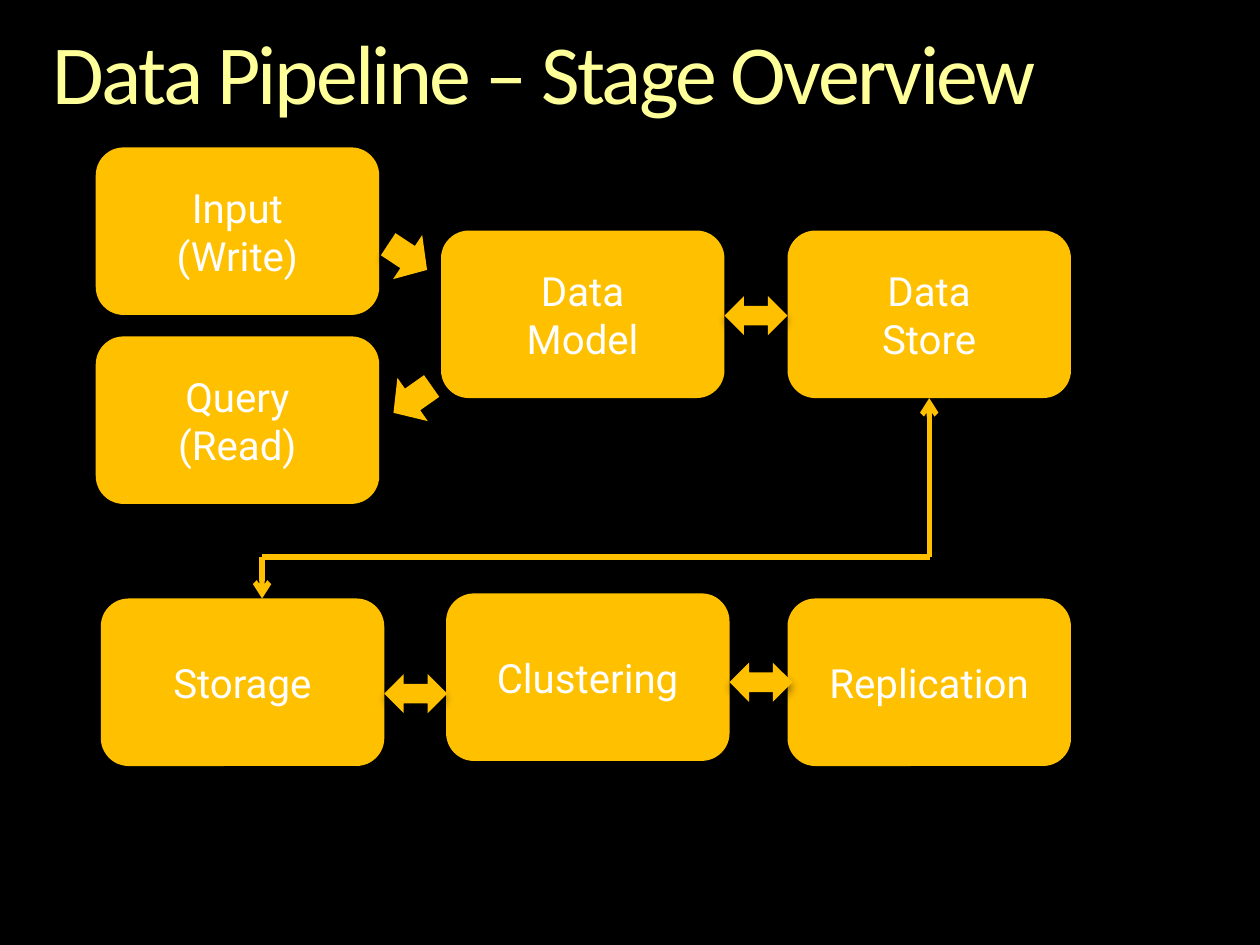
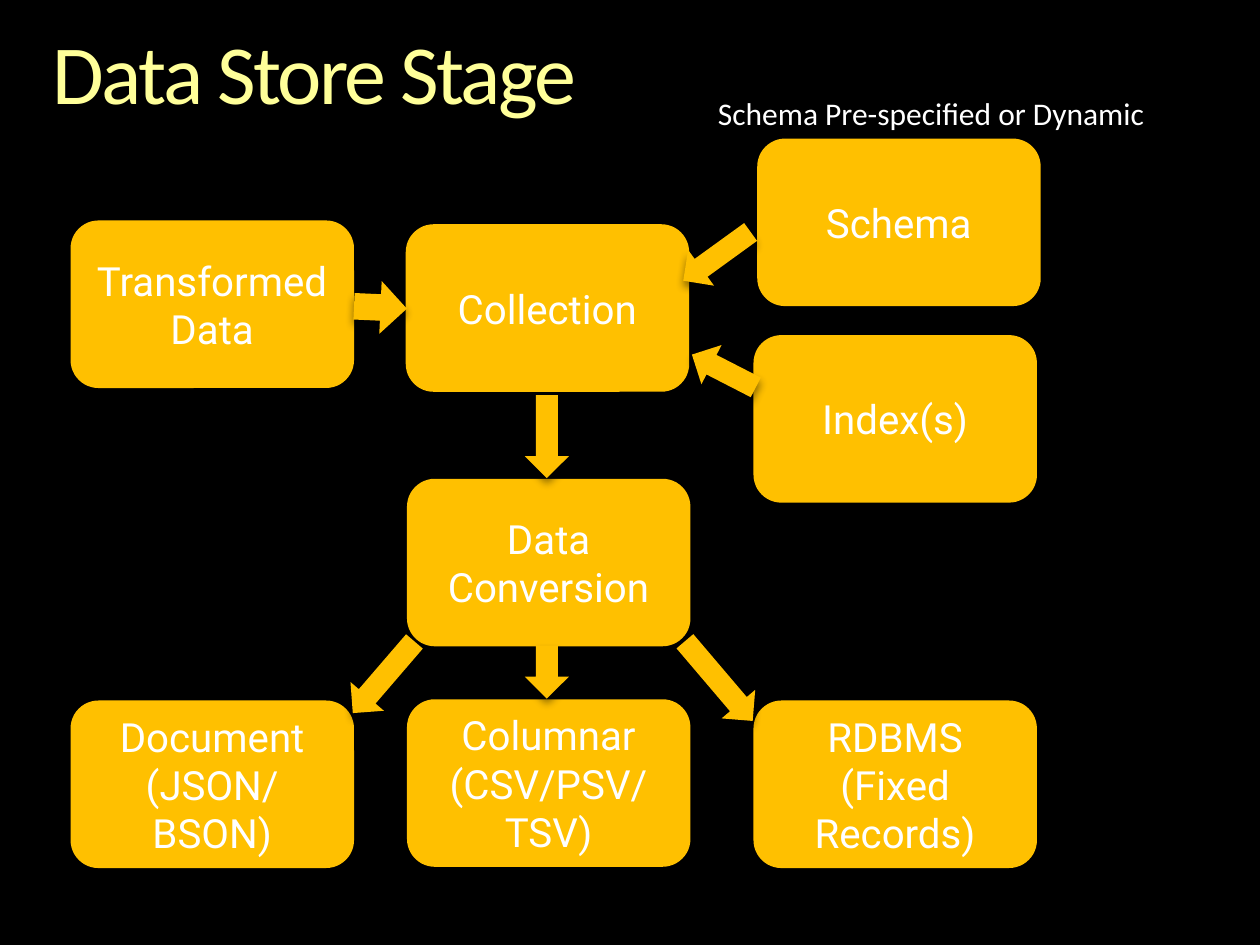
"""Build two data pipeline slides: the stage overview and the data store stage."""
from lxml.etree import SubElement
from pptx import Presentation
from pptx.dml.color import RGBColor
from pptx.enum.shapes import MSO_CONNECTOR, MSO_SHAPE
from pptx.enum.text import MSO_ANCHOR, PP_ALIGN
from pptx.oxml.ns import qn
from pptx.util import Inches, Pt

BLACK = RGBColor(0x00, 0x00, 0x00)
WHITE = RGBColor(0xFF, 0xFF, 0xFF)
AMBER = RGBColor(0xFF, 0xC0, 0x00)
PALE_YELLOW = RGBColor(0xFF, 0xFF, 0x99)
BOX_WIDTH, BOX_HEIGHT = 2.25, 1.33
LEFT, BOTH = MSO_SHAPE.LEFT_ARROW, MSO_SHAPE.LEFT_RIGHT_ARROW

# Boxes: text, left, top. Arrows: preset, left, top, width, height, rotation.
OVERVIEW = {
    "title": "Data Pipeline – Stage Overview",
    "boxes": [
        ("Input\v(Write)", 0.76, 1.17),
        ("Data\vModel", 3.5, 1.83),
        ("Data\vStore", 6.25, 1.83),
        ("Storage", 0.8, 4.75),
        ("Clustering", 3.54, 4.71),
        ("Replication", 6.25, 4.75),
        ("Query\v(Read)", 0.76, 2.67),
    ],
    "arrows": [
        (LEFT, 3.05, 1.83, 0.37, 0.42, 213.4),
        (LEFT, 3.09, 2.96, 0.37, 0.42, 324.9),
        (BOTH, 5.75, 2.35, 0.5, 0.31, 0),
        (BOTH, 5.79, 5.26, 0.5, 0.31, 0),
        (BOTH, 3.05, 5.35, 0.5, 0.31, 0),
    ],
}
STORE_STAGE = {
    "title": "Data Store Stage",
    "boxes": [
        ("Transformed Data", 0.56, 1.75),
        ("Collection", 3.22, 1.78),
        ("Index(s)", 5.98, 2.66),
        ("Data Conversion", 3.23, 3.8),
        ("Schema", 6.01, 1.1),
        ("Columnar\v(CSV/PSV/TSV)", 3.23, 5.55),
        ("Document\v(JSON/BSON)", 0.56, 5.56),
        ("RDBMS\v(Fixed Records)", 5.98, 5.56),
    ],
    "arrows": [
        (LEFT, 2.81, 2.23, 0.42, 0.42, 182.6),
        (LEFT, 5.46, 2.77, 0.57, 0.35, 27.2),
        (LEFT, 5.36, 1.86, 0.66, 0.35, 324.1),
        (LEFT, 4.01, 3.29, 0.66, 0.35, 270),
        (LEFT, 4.13, 5.16, 0.42, 0.35, 270),
        (LEFT, 2.67, 5.2, 0.75, 0.35, 310.7),
        (LEFT, 5.29, 5.23, 0.83, 0.35, 229.6),
    ],
}
SCHEMA_NOTE = "Schema Pre-specified or Dynamic"
LINK_STORAGE_X, LINK_STORE_X, LINK_Y, STORAGE_TOP = 2.08, 7.38, 4.42, 4.75


def style_text(text_frame, text, font_name, size, color):
    text_frame.text = text
    paragraph = text_frame.paragraphs[0]
    for run in paragraph.runs:
        run.font.name = font_name
        run.font.size = Pt(size)
        run.font.color.rgb = color
    return paragraph


def add_amber_shape(slide, preset, left, top, width, height):
    shape = slide.shapes.add_shape(
        preset, Inches(left), Inches(top), Inches(width), Inches(height))
    shape.fill.solid()
    shape.fill.fore_color.rgb = AMBER
    shape.line.fill.background()
    shape.shadow.inherit = False
    effects = shape._element.spPr.find(qn("a:effectLst"))
    shadow = SubElement(effects, qn("a:outerShdw"), blurRad=str(Pt(5)),
                        dist=str(Pt(3)), dir="5400000", rotWithShape="0")
    shadow_color = SubElement(shadow, qn("a:srgbClr"), val=str(BLACK))
    SubElement(shadow_color, qn("a:alpha"), val="45000")
    return shape


def add_box(slide, text, left, top):
    box = add_amber_shape(slide, MSO_SHAPE.ROUNDED_RECTANGLE,
                          left, top, BOX_WIDTH, BOX_HEIGHT)
    box.text_frame.word_wrap = True
    box.text_frame.vertical_anchor = MSO_ANCHOR.MIDDLE
    paragraph = style_text(box.text_frame, text, "Roboto", 23, WHITE)
    paragraph.alignment = PP_ALIGN.CENTER
    return box


def add_title(slide, text):
    title = slide.shapes.add_textbox(
        Inches(0.42), Inches(0.25), Inches(9.17), Inches(0.73))
    frame = title.text_frame
    frame.word_wrap = True
    frame.margin_left = frame.margin_right = frame.margin_top = frame.margin_bottom = 0
    paragraph = style_text(frame, text, "Calibri", 48, PALE_YELLOW)
    paragraph.line_spacing = 0.9
    paragraph.runs[0].font._element.set("spc", "-150")


def add_link(slide, start, end, arrowhead=True):
    points = [Inches(value) for value in (*start, *end)]
    link = slide.shapes.add_connector(MSO_CONNECTOR.STRAIGHT, *points)
    link.line.color.rgb = AMBER
    link.line.width = Pt(3)
    if arrowhead:
        SubElement(link.line._get_or_add_ln(), qn("a:tailEnd"), type="arrow")
    SubElement(link._element.spPr, qn("a:effectLst"))
    return link


def add_diagram(presentation, content):
    slide = presentation.slides.add_slide(presentation.slide_layouts[6])
    slide.background.fill.solid()
    slide.background.fill.fore_color.rgb = BLACK
    add_title(slide, content["title"])
    boxes = {box[0]: add_box(slide, *box) for box in content["boxes"]}
    for *placement, rotation in content["arrows"]:
        add_amber_shape(slide, *placement).rotation = rotation
    return slide, boxes


def main():
    presentation = Presentation()
    presentation.slide_width, presentation.slide_height = Inches(10), Inches(7.5)

    overview, boxes = add_diagram(presentation, OVERVIEW)
    storage_corner = (LINK_STORAGE_X, LINK_Y)
    store_corner = (LINK_STORE_X, LINK_Y)
    add_link(overview, store_corner, storage_corner, arrowhead=False)
    add_link(overview, storage_corner, (LINK_STORAGE_X, STORAGE_TOP))
    store_link = add_link(overview, store_corner, (LINK_STORE_X, 3.17))
    store_link.end_connect(boxes["Data\vStore"], 2)
    store_link.begin_x = store_link.end_x

    store_stage, _ = add_diagram(presentation, STORE_STAGE)
    note = store_stage.shapes.add_textbox(
        Inches(5.6), Inches(0.7), Inches(3.63), Inches(0.4))
    note.text_frame.word_wrap = False
    style_text(note.text_frame, SCHEMA_NOTE, "Calibri", 18, WHITE)

    presentation.save("out.pptx")


if __name__ == "__main__":
    main()
